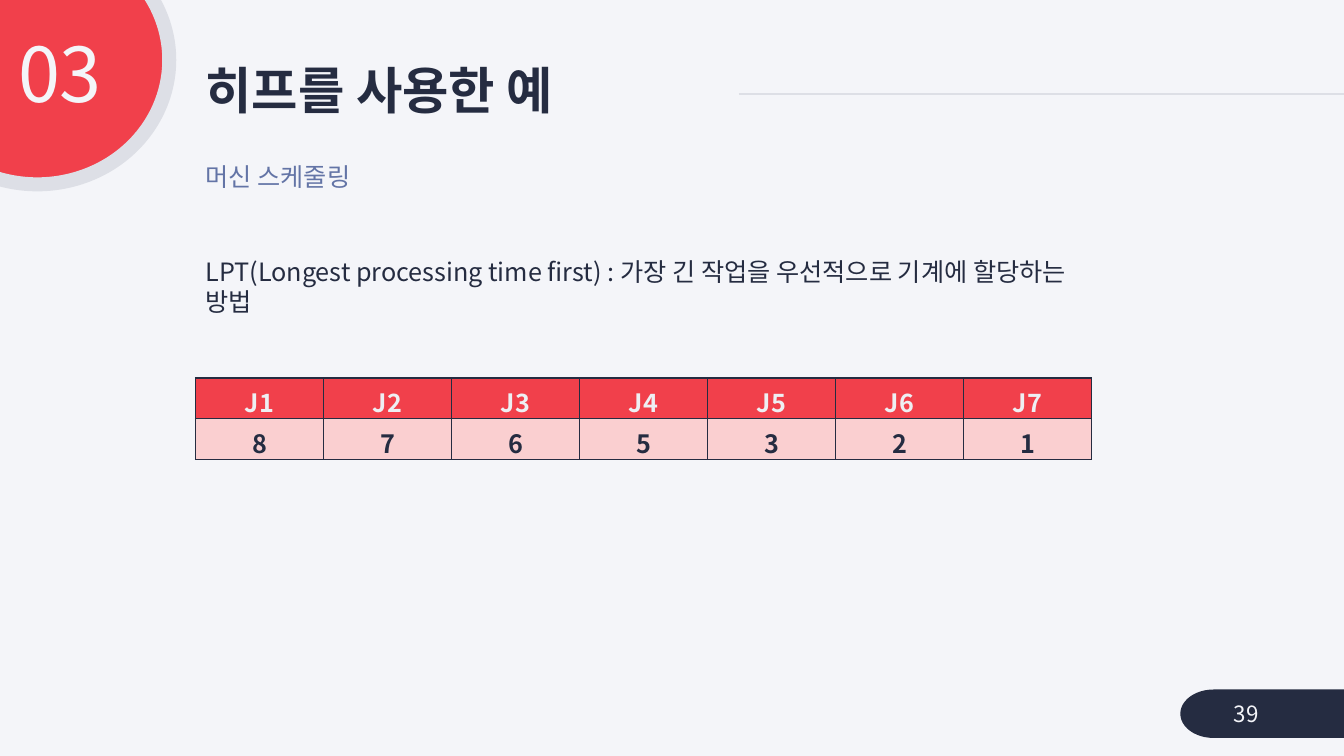
from pptx import Presentation
from pptx.dml.color import RGBColor
from pptx.enum.shapes import MSO_CONNECTOR, MSO_SHAPE
from pptx.enum.text import MSO_ANCHOR as ANCHOR, PP_ALIGN as ALIGN
from pptx.oxml.ns import qn
from pptx.util import Pt
from lxml.etree import SubElement

FONT = "Noto Sans CJK KR"
NAVY, RED, PINK, GREY, PALE, BLUE = "252C41", "F1404B", "FACFD0", "DDDFE6", "F4F5F9", "6374A6"

TEXTS = [
    ("히프를 사용한 예", (139.7, 42.5, 447.8, 48.2), 36, NAVY,
     dict(bold=True, anchor=ANCHOR.MIDDLE, spacing=0.9)),
    ("03", (-7.9, 23, 87.8, 66.2), 54, PALE, dict(align=ALIGN.RIGHT, spacing=0.9)),
    ("39", (874.1, 495.4, 78.5, 28.8), 16, PALE, dict(anchor=ANCHOR.MIDDLE)),
    ("머신 스케줄링", (139.7, 111.6, 130.3, 29), 18, BLUE, {}),
    ("LPT(Longest processing time first) : 가장 긴 작업을 우선적으로 기계에 할당하는 방법",
     (139.7, 179.3, 663.8, 29), 18, NAVY, {}),
]
JOBS = [("J1", 8), ("J2", 7), ("J3", 6), ("J4", 5), ("J5", 3), ("J6", 2), ("J7", 1)]
ROW_COLORS = [(RED, "EEEFF3"), (PINK, NAVY)]
TABLE_LEFT, TABLE_TOP, COL_W, ROW_H = 139.7, 270, 91.44, 29.2


def rgb(value):
    return RGBColor.from_string(value)


def fill_solid(target, color):
    target.fill.solid()
    target.fill.fore_color.rgb = rgb(color)


def style(p, size, color, bold=False, align=ALIGN.LEFT, spacing=None):
    p.alignment = align
    p.line_spacing = spacing
    p.font.size, p.font.bold, p.font.name = Pt(size), bold, FONT
    p.font.color.rgb = rgb(color)
    for r in p.runs:
        r.font.name = FONT
        SubElement(r.font._element, qn("a:ea"), typeface=FONT)


def add_text(text, box, size, color, anchor=ANCHOR.TOP, **options):
    tf = slide.shapes.add_textbox(*map(Pt, box)).text_frame
    tf.word_wrap = True
    tf.vertical_anchor = anchor
    tf.text = text
    style(tf.paragraphs[0], size, color, **options)


def add_shape(kind, box, fill, line=None, width=0):
    sp = slide.shapes.add_shape(kind, *map(Pt, box))
    sp.shadow.inherit = False
    fill_solid(sp, fill)
    if line:
        sp.line.color.rgb = rgb(line)
        sp.line.width = Pt(width)
    else:
        sp.line.fill.background()


def add_borders(cell, color, width):
    tc_pr = cell._tc.get_or_add_tcPr()
    for i, side in enumerate(("lnL", "lnR", "lnT", "lnB")):
        ln = tc_pr.makeelement(qn(f"a:{side}"), {"w": str(Pt(width))})
        SubElement(SubElement(ln, qn("a:solidFill")), qn("a:srgbClr"), val=color)
        tc_pr.insert(i, ln)


prs = Presentation()
prs.slide_width, prs.slide_height = Pt(960), Pt(540)
slide = prs.slides.add_slide(prs.slide_layouts[6])
fill_solid(slide.background, PALE)

rule = slide.shapes.add_connector(MSO_CONNECTOR.STRAIGHT, Pt(527.8), Pt(67), Pt(960), Pt(67))
rule.line.color.rgb = rgb(GREY)
rule.line.width = Pt(1.5)
SubElement(rule._element.spPr, qn("a:effectLst"))
add_shape(MSO_SHAPE.OVAL, (-67.7, -46.1, 188.6, 177.8), RED, GREY, 10)
add_shape(MSO_SHAPE.FLOWCHART_TERMINATOR, (843.1, 492.5, 147.6, 34.6), NAVY)

for text, box, size, color, options in TEXTS:
    add_text(text, box, size, color, **options)

rows = list(zip(*JOBS))
table = slide.shapes.add_table(
    len(rows), len(JOBS), Pt(TABLE_LEFT), Pt(TABLE_TOP),
    Pt(COL_W * len(JOBS)), Pt(ROW_H * len(rows))).table
for column in table.columns:
    column.width = Pt(COL_W)
for i, (values, (fill, color)) in enumerate(zip(rows, ROW_COLORS)):
    for j, value in enumerate(values):
        cell = table.cell(i, j)
        cell.text = str(value)
        cell.vertical_anchor = ANCHOR.MIDDLE
        fill_solid(cell, fill)
        add_borders(cell, NAVY, 1)
        style(cell.text_frame.paragraphs[0], 18, color, bold=True, align=ALIGN.CENTER)

prs.save("out.pptx")
